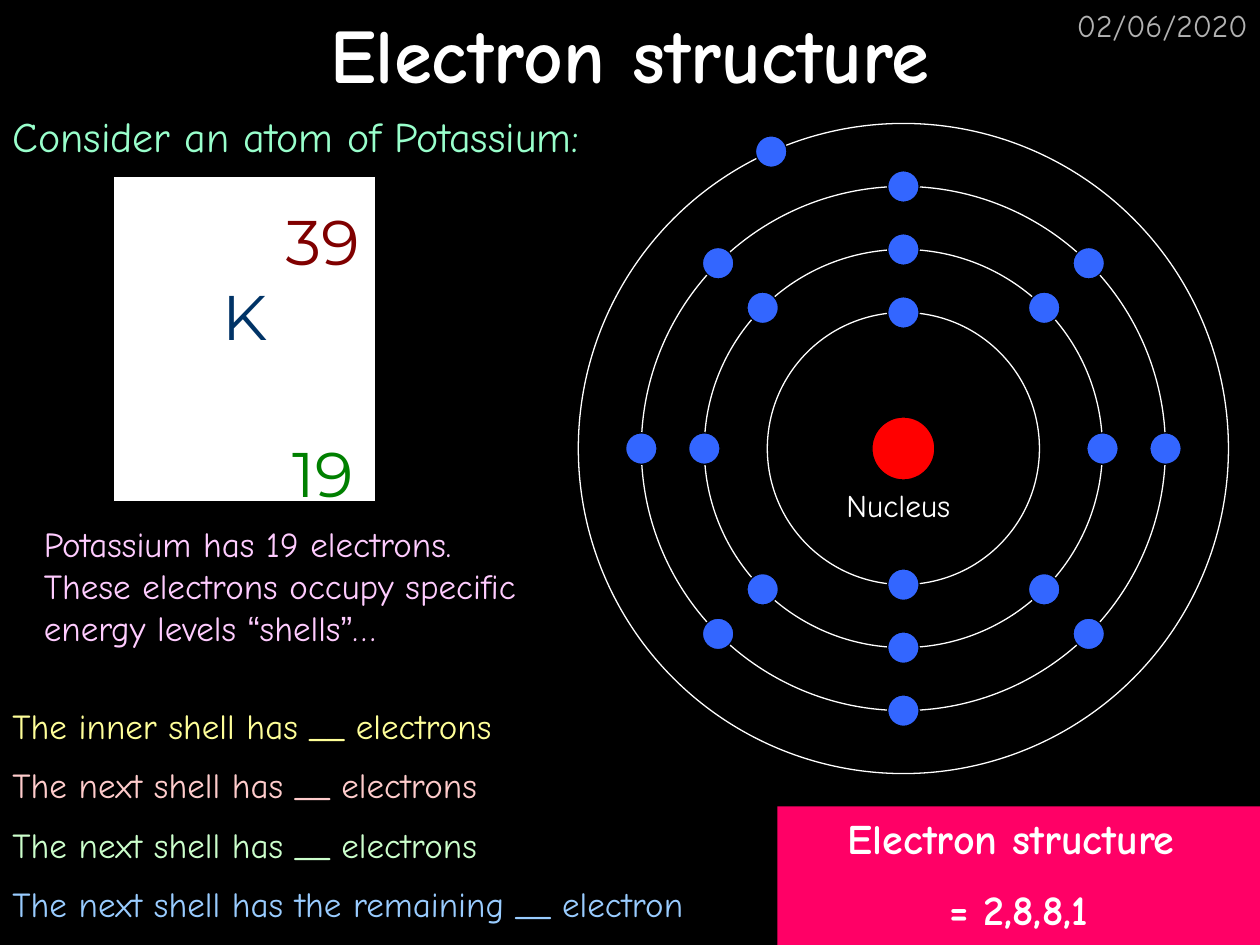
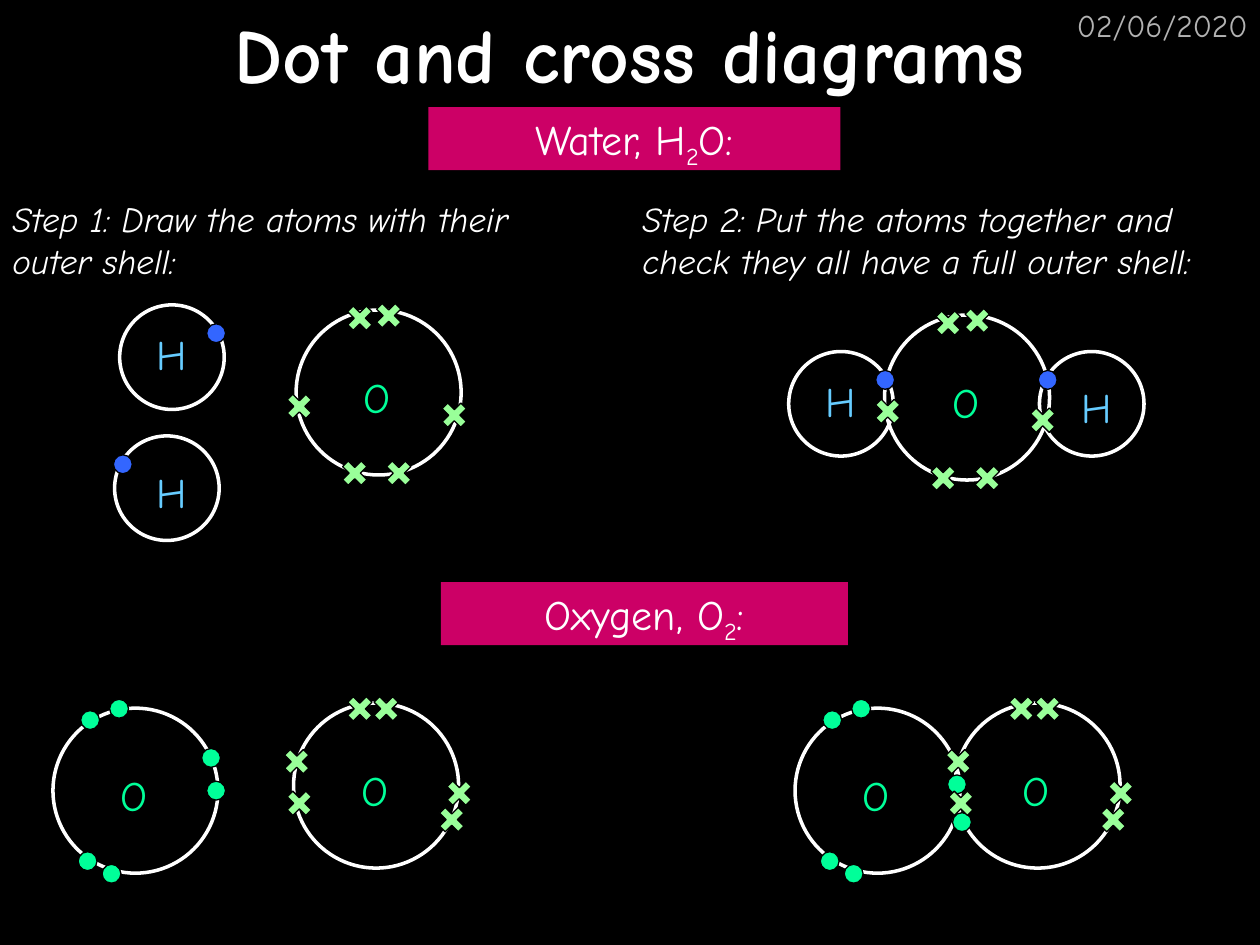
from math import cos, radians, sin
from typing import NamedTuple

from pptx import Presentation
from pptx.dml.color import RGBColor
from pptx.enum.shapes import MSO_SHAPE
from pptx.enum.text import MSO_ANCHOR, PP_ALIGN
from pptx.util import Inches, Pt

COLOURS = {
    "background": "000000", "white": "FFFFFF", "date": "B2B2B2",
    "mint": "99FFCC", "lilac": "FFCCFF", "yellow": "FFFF99",
    "salmon": "FFCCCC", "pale green": "CCFFCC", "pale blue": "99CCFF",
    "answer": "FF0066", "banner": "CC0066", "nucleus": "FF0000",
    "electron": "3366FF", "oxygen": "00FF99", "hydrogen": "66CCFF",
    "cross": "99FF99", "symbol": "003366", "mass": "800000", "proton": "008000",
}
BODY_FONT, SYMBOL_FONT, QUOTE_FONT = "Comic Neue", "Montserrat", "Arial"
BLUE_DOT, GREEN_DOT, CROSS = "electron", "oxygen", "cross"


class Atom(NamedTuple):
    """Offsets are measured from the top left corner of the atom's ring."""
    symbol: str
    colour: str
    diameter: float
    label_offset: tuple
    mark: str
    electrons: list


def oxygen(mark, electrons):
    return Atom("O", "oxygen", 1.31, (0.32, 0.44), mark, electrons)


HYDROGEN = Atom("H", "hydrogen", 0.83, (0.09, 0.14), BLUE_DOT, [(0.69, 0.15)])
MIRRORED_HYDROGEN = HYDROGEN._replace(label_offset=(0.13, 0.19),
                                      electrons=[(-0.01, 0.15)])
WATER_OXYGEN = oxygen(CROSS, [(0.4, -0.04), (0.63, -0.06), (-0.08, 0.66),
                              (1.15, 0.73), (0.36, 1.19), (0.71, 1.19)])
LONE_DOTS = [(0.45, -0.07), (0.22, 0.02), (0.2, 1.14), (0.39, 1.24)]
DOT_OXYGEN = oxygen(GREEN_DOT, LONE_DOTS + [(1.18, 0.32), (1.22, 0.58)])
BONDED_DOT_OXYGEN = oxygen(GREEN_DOT, LONE_DOTS + [(1.21, 0.53), (1.25, 0.83)])
CROSS_OXYGEN = oxygen(CROSS, [(-0.06, 0.69), (-0.08, 0.36), (0.42, -0.06),
                              (0.63, -0.06), (1.15, 0.82), (1.21, 0.61)])


def rgb(name):
    return RGBColor.from_string(COLOURS[name])


def write(frame, paragraphs, size=20, colour="white", font=BODY_FONT, bold=False,
          italic=False, align=PP_ALIGN.LEFT, anchor=MSO_ANCHOR.TOP):
    """Fill a frame; a paragraph is a string or a list of (text, overrides) runs."""
    frame.word_wrap = True
    frame.vertical_anchor = anchor
    if isinstance(paragraphs, str):
        paragraphs = [paragraphs]
    for index, content in enumerate(paragraphs):
        paragraph = frame.add_paragraph() if index else frame.paragraphs[0]
        paragraph.alignment = align
        if index:
            paragraph.space_before = Pt(size / 2)
        for words, own in [(content, {})] if isinstance(content, str) else content:
            run = paragraph.add_run()
            run.text = words
            run.font.size = Pt(size)
            run.font.name = own.get("font", font)
            run.font.bold, run.font.italic = bold, italic
            run.font.color.rgb = rgb(own.get("colour", colour))
            if "baseline" in own:
                run._r.get_or_add_rPr().set("baseline", str(own["baseline"]))


def add_text(shapes, box, paragraphs, **style):
    frame = shapes.add_textbox(*map(Inches, box)).text_frame
    write(frame, paragraphs, **style)


def add_figure(shapes, preset, box, fill=None, line=None, width=0.75):
    figure = shapes.add_shape(preset, *map(Inches, box))
    figure.shadow.inherit = False
    if fill:
        figure.fill.solid()
        figure.fill.fore_color.rgb = rgb(fill)
    else:
        figure.fill.background()
    if line:
        figure.line.color.rgb = rgb(line)
        figure.line.width = Pt(width)
    else:
        figure.line.fill.background()
    return figure


def add_disc(shapes, centre, radius, **look):
    x, y = centre
    box = (x - radius, y - radius, 2 * radius, 2 * radius)
    add_figure(shapes, MSO_SHAPE.OVAL, box, **look)


def add_banner(shapes, box, paragraphs, fill, **style):
    banner = add_figure(shapes, MSO_SHAPE.RECTANGLE, box, fill=fill)
    write(banner.text_frame, paragraphs, size=24, align=PP_ALIGN.CENTER, **style)


def start_slide(deck, title):
    slide = deck.slides.add_slide(deck.slide_layouts[6])
    slide.background.fill.solid()
    slide.background.fill.fore_color.rgb = rgb("background")
    add_text(slide.shapes, (7.92, 0, 2.08, 0.5), "02/06/2020", size=18,
             colour="date", align=PP_ALIGN.RIGHT)
    add_text(slide.shapes, (0, 0, 10, 0.83), title, size=44, bold=True,
             align=PP_ALIGN.CENTER, anchor=MSO_ANCHOR.MIDDLE)
    return slide.shapes


def add_element_card(shapes, left, top):
    card = shapes.add_group_shape().shapes
    add_figure(card, MSO_SHAPE.RECTANGLE, (left, top, 2.08, 2.58),
               fill="white", line="background")
    for label, colour, x, y in [("K", "symbol", 0.58, 0.75),
                                ("19", "proton", 1.2, 2),
                                ("39", "mass", 1.2, 0.16)]:
        add_text(card, (left + x, top + y, 0.92, 0.7), label, size=36,
                 colour=colour, font=SYMBOL_FONT, align=PP_ALIGN.CENTER)


def add_shell_model(shapes, x, y):
    """Potassium's shells around a nucleus centred at x, y."""
    model = shapes.add_group_shape().shapes
    eighths = range(0, 360, 45)
    shells = [(1.08, (90, 270)), (1.58, eighths), (2.08, eighths), (2.58, (114,))]
    add_disc(model, (x, y), 0.25, fill="nucleus", line="background")
    for radius, _ in shells:
        add_disc(model, (x, y), radius, line="white")
    add_text(model, (x - 0.55, y + 0.25, 1.27, 0.4), "Nucleus", size=18)
    for radius, angles in shells:
        for angle in map(radians, angles):
            centre = (x + radius * cos(angle), y - radius * sin(angle))
            add_disc(model, centre, 0.125, fill="electron", line="background")


def add_molecule(shapes, *placed_atoms):
    """Draw (atom, left, top) items: rings first, then labels, then electrons."""
    molecule = shapes.add_group_shape().shapes
    for atom, left, top in placed_atoms:
        add_figure(molecule, MSO_SHAPE.OVAL, (left, top, atom.diameter, atom.diameter),
                   line="white", width=2)
    for atom, left, top in placed_atoms:
        x, y = atom.label_offset
        add_text(molecule, (left + x, top + y, 0.65, 0.5), atom.symbol, size=24,
                 colour=atom.colour, align=PP_ALIGN.CENTER)
    for atom, left, top in placed_atoms:
        for x, y in atom.electrons:
            add_electron(molecule, atom.mark, left + x, top + y)


def add_electron(shapes, mark, left, top):
    if mark == CROSS:
        preset, size = MSO_SHAPE.CROSS, 0.21
    else:
        preset, size = MSO_SHAPE.OVAL, 0.15
    electron = add_figure(shapes, preset, (left, top, size, size),
                          fill=mark, line="background")
    if mark == CROSS:
        electron.adjustments[0] = 0.35
        electron.rotation = 135


def build_electron_structure(deck):
    shapes = start_slide(deck, "Electron structure")
    add_text(shapes, (0, 0.83, 5.17, 0.5), "Consider an atom of Potassium:",
             size=24, colour="mint")
    add_element_card(shapes, 0.9, 1.4)
    quote = {"font": QUOTE_FONT}
    add_text(shapes, (0.25, 4.1, 4.05, 1.1), [[
        ("Potassium has 19 electrons. These electrons occupy specific energy levels ", {}),
        ("“", quote), ("shells", {}), ("”", quote), ("…", {})]], colour="lilac")
    add_shell_model(shapes, 7.17, 3.56)
    shell_notes = [
        ("The inner shell has __ electrons", "yellow"),
        ("The next shell has __ electrons", "salmon"),
        ("The next shell has __ electrons", "pale green"),
        ("The next shell has the remaining __ electron", "pale blue"),
    ]
    add_text(shapes, (0, 5.54, 6.62, 1.93),
             [[(note, {"colour": colour})] for note, colour in shell_notes])
    add_banner(shapes, (6.17, 6.4, 3.83, 1.1), ["Electron structure ", "= 2,8,8,1"],
               "answer", bold=True)


def build_dot_and_cross(deck):
    shapes = start_slide(deck, "Dot and cross diagrams")
    subscript_two = ("2", {"baseline": -25000})
    add_banner(shapes, (3.4, 0.85, 3.27, 0.5),
               [[("Water, H", {}), subscript_two, ("O:", {})]], "banner")
    add_banner(shapes, (3.5, 4.62, 3.23, 0.5),
               [[("Oxygen, O", {}), subscript_two, (":", {})]], "banner")

    add_molecule(shapes, (HYDROGEN, 6.26, 2.79), (MIRRORED_HYDROGEN, 8.25, 2.79),
                 (WATER_OXYGEN, 7.02, 2.5))
    add_molecule(shapes, (BONDED_DOT_OXYGEN, 6.31, 5.62), (CROSS_OXYGEN, 7.58, 5.58))
    for lone_atom in [(HYDROGEN, 0.95, 2.42), (MIRRORED_HYDROGEN, 0.91, 3.46),
                      (WATER_OXYGEN, 2.35, 2.46), (DOT_OXYGEN, 0.42, 5.62),
                      (CROSS_OXYGEN, 2.33, 5.58)]:
        add_molecule(shapes, lone_atom)

    for left, width, step in [
        (0, 4.19, "Step 1: Draw the atoms with their outer shell:"),
        (5, 5, "Step 2: Put the atoms together and check they all have a full outer shell:"),
    ]:
        add_text(shapes, (left, 1.52, width, 0.77), step, italic=True)


def main():
    deck = Presentation()
    deck.slide_width, deck.slide_height = Inches(10), Inches(7.5)
    build_electron_structure(deck)
    build_dot_and_cross(deck)
    deck.save("out.pptx")


if __name__ == "__main__":
    main()
